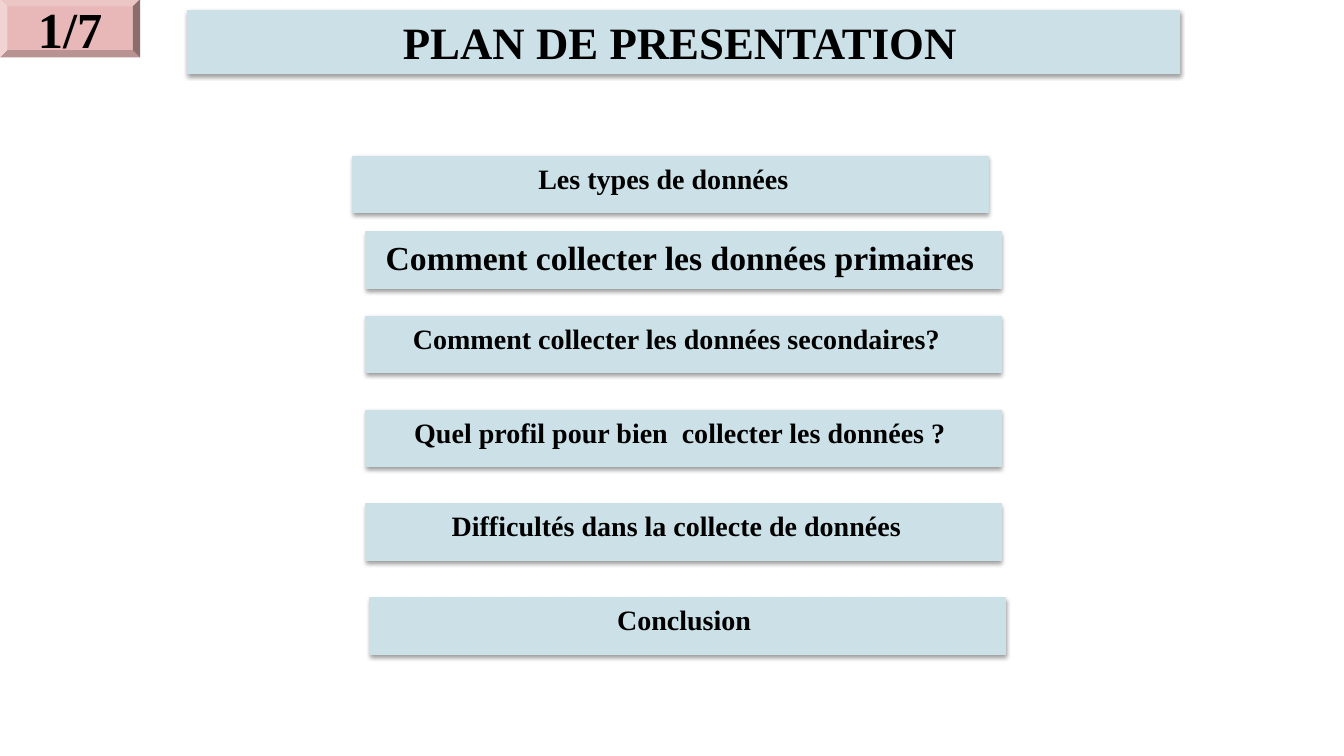
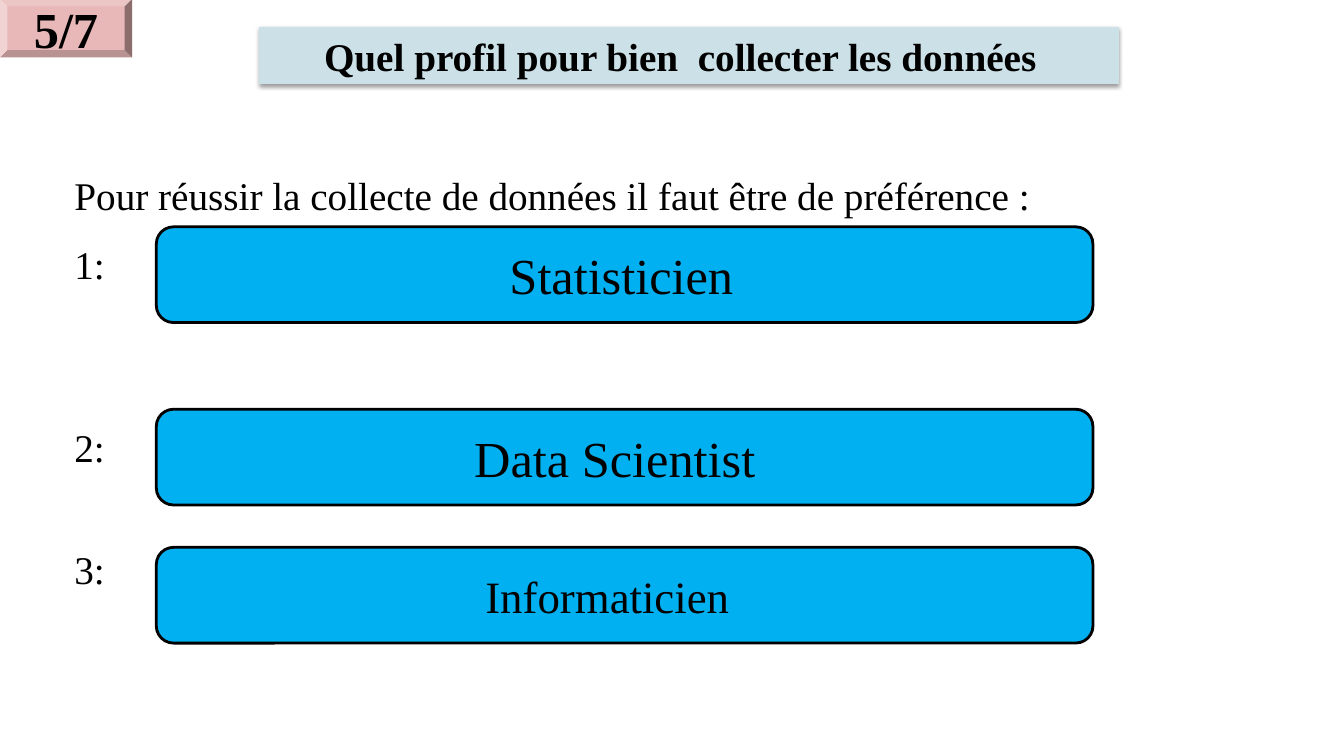
from dataclasses import dataclass

from lxml import etree
from pptx import Presentation
from pptx.dml.color import RGBColor
from pptx.enum import shapes, text
from pptx.oxml import ns
from pptx.util import Inches, Pt


@dataclass(frozen=True)
class Theme:
    font: str = "Times New Roman"
    ink: RGBColor = RGBColor(0x00, 0x00, 0x00)
    band: RGBColor = RGBColor(0xCB, 0xE1, 0xE7)
    badge: RGBColor = RGBColor(0xE8, 0xB7, 0xB7)
    role: RGBColor = RGBColor(0x00, 0xB0, 0xF0)
    huge: int = 36
    large: int = 32
    body: int = 28
    medium: int = 24
    small: int = 20


THEME = Theme()


@dataclass(frozen=True)
class Band:
    label: str
    left: float
    top: float
    width: float = 6.3
    height: float = 0.56
    size: int = THEME.small


@dataclass(frozen=True)
class Role:
    label: str
    top: float
    size: int
    shift: float  # extra right inset


@dataclass(frozen=True)
class Line:
    label: str
    steps: float  # distance from the line above, in line pitches


# Content
PLAN_TITLE = Band("PLAN DE PRESENTATION", 1.86, 0.1, 9.84, 0.63, THEME.large)
PROFILE_TITLE = Band("Quel profil pour bien  collecter les données ",
                     2.57, 0.27, 8.52, size=THEME.body)
STEP_TOP, STEP_PITCH = 3.14, 0.93
PLAN = [
    Band("Les types de données ", 3.5, 1.55),
    Band("Comment collecter les données primaires", 3.63, 2.3, size=THEME.medium),
    Band("Comment collecter les données secondaires? ", 3.63, STEP_TOP),
    Band("Quel profil pour bien  collecter les données ?", 3.63, STEP_TOP + STEP_PITCH),
    Band("Difficultés dans la collecte de données ", 3.63, STEP_TOP + 2 * STEP_PITCH),
    Band("Conclusion", 3.67, STEP_TOP + 3 * STEP_PITCH),
]
ROLES = [
    Role("Statisticien", 2.25, THEME.huge, 0.06),
    Role("Data Scientist", 4.06, THEME.huge, 0.19),
    Role("Informaticien", 5.43, THEME.large, 0.34),
]
LINES = [
    Line("Pour réussir la collecte de données il faut être de préférence :", 0),
    Line("1:", 1.13),
    Line("2:", 3),
    Line("3:", 2),
]
LINE_HEIGHT, LINE_PITCH = 33.6, 43.6  # points


# Shared parts
def style_text(paragraph, size: int, bold: bool = False) -> None:
    for run in paragraph.runs:
        run.font.name = THEME.font
        run.font.size = Pt(size)
        run.font.bold = bold
        run.font.color.rgb = THEME.ink


def write_centred(shape, label: str, size: int, bold: bool = False):
    shape.text_frame.text = label
    paragraph = shape.text_frame.paragraphs[0]
    paragraph.alignment = text.PP_ALIGN.CENTER
    style_text(paragraph, size, bold)
    return paragraph


def fill_solid(shape, colour: RGBColor) -> None:
    shape.fill.solid()
    shape.fill.fore_color.rgb = colour


def add_preset(slide, preset, left: float, top: float, width: float, height: float):
    shape = slide.shapes.add_shape(
        preset, Inches(left), Inches(top), Inches(width), Inches(height))
    shape.shadow.inherit = False
    return shape


def drop_shadow(shape) -> None:
    shape.shadow.inherit = False
    effects = shape.element.spPr.find(ns.qn("a:effectLst"))
    shadow = etree.SubElement(effects, ns.qn("a:outerShdw"), blurRad="39370",
                              dist="20320", dir="5400000", rotWithShape="0")
    colour = etree.SubElement(shadow, ns.qn("a:srgbClr"), val=str(THEME.ink))
    etree.SubElement(colour, ns.qn("a:alpha"), val="38000")


def style_band(shape, band: Band) -> None:
    fill_solid(shape, THEME.band)
    shape.line.color.rgb = THEME.band
    shape.line.width = Pt(0.75)
    drop_shadow(shape)
    frame = shape.text_frame
    frame.auto_size = text.MSO_AUTO_SIZE.NONE
    frame.word_wrap = True
    frame.vertical_anchor = text.MSO_ANCHOR.TOP
    frame.margin_left = frame.margin_top = frame.margin_bottom = Inches(0.05)
    frame.margin_right = Inches(0.12)
    write_centred(shape, band.label, band.size, bold=True).space_before = Pt(4)


def add_band(slide, band: Band) -> None:
    style_band(add_preset(slide, shapes.MSO_SHAPE.RECTANGLE, band.left, band.top,
                          band.width, band.height), band)


def add_titled_slide(deck, title: Band, number: str, badge_width: float):
    slide = deck.slides.add_slide(deck.slide_layouts.get_by_name("Title Only"))
    heading = slide.shapes.title
    heading.left, heading.top = Inches(title.left), Inches(title.top)
    heading.width, heading.height = Inches(title.width), Inches(title.height)
    style_band(heading, title)

    badge = add_preset(slide, shapes.MSO_SHAPE.BEVEL, 0, -0.01, badge_width, 0.58)
    fill_solid(badge, THEME.badge)
    badge.line.fill.background()
    badge.text_frame.word_wrap = False
    badge.text_frame.vertical_anchor = text.MSO_ANCHOR.MIDDLE
    write_centred(badge, number, THEME.huge, bold=True)
    return slide


# Profile slide parts
def add_lines(slide) -> None:
    box = slide.shapes.add_textbox(Inches(0.64), Inches(1.65), Inches(11.8), Inches(4.3))
    frame = box.text_frame
    frame.word_wrap = True
    frame.text = "\n".join(line.label for line in LINES)
    for paragraph, line in zip(frame.paragraphs, LINES):
        paragraph.space_before = Pt(max(0, line.steps * LINE_PITCH - LINE_HEIGHT))
        style_text(paragraph, THEME.body)


def add_role(slide, role: Role) -> None:
    button = add_preset(slide, shapes.MSO_SHAPE.ROUNDED_RECTANGLE,
                        1.55, role.top, 9.29, 0.95)
    button.adjustments[0] = 0.18
    fill_solid(button, THEME.role)
    button.line.color.rgb = THEME.ink
    button.line.width = Pt(2)
    button.text_frame.word_wrap = True
    button.text_frame.vertical_anchor = text.MSO_ANCHOR.MIDDLE
    button.text_frame.margin_right = Inches(0.1 + role.shift)
    write_centred(button, role.label, role.size)


def main() -> None:
    deck = Presentation()
    deck.slide_width, deck.slide_height = Inches(13.33), Inches(7.5)

    # Plan
    plan = add_titled_slide(deck, PLAN_TITLE, "1/7", 1.39)
    for band in PLAN:
        add_band(plan, band)

    # Profile
    profile = add_titled_slide(deck, PROFILE_TITLE, "5/7", 1.31)
    add_lines(profile)
    for role in ROLES:
        add_role(profile, role)

    deck.save("out.pptx")


if __name__ == "__main__":
    main()
